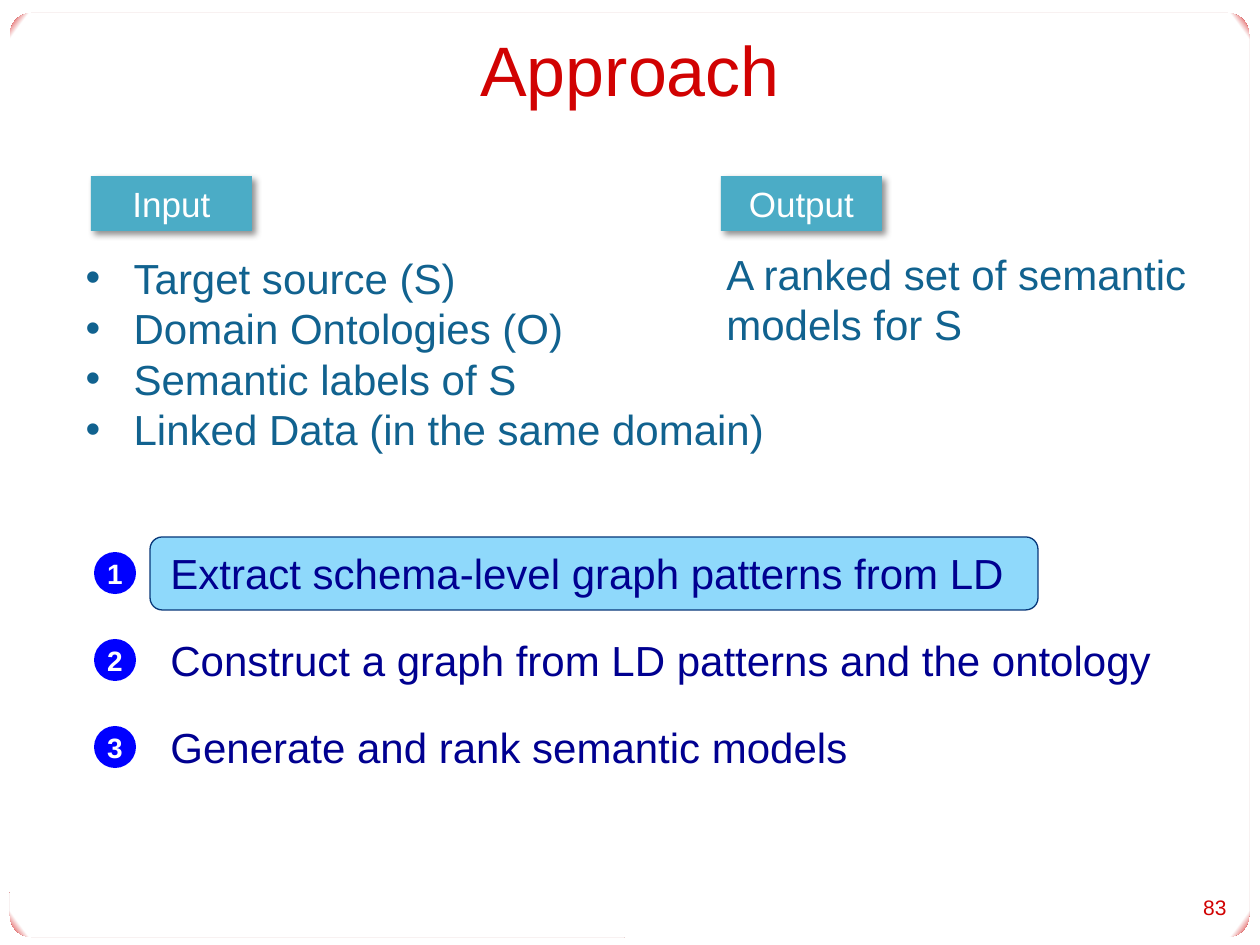
from lxml.etree import SubElement
from pptx import Presentation
from pptx.dml.color import RGBColor
from pptx.enum.shapes import MSO_SHAPE as SHAPE
from pptx.enum.text import MSO_ANCHOR as ANCHOR, MSO_AUTO_SIZE as AUTO, PP_ALIGN as ALIGN
from pptx.oxml import parse_xml
from pptx.oxml.ns import nsdecls, qn
from pptx.util import Pt

# Content
TITLE = "Approach"
INPUTS = ["Target source (S)", "Domain Ontologies (O)", "Semantic labels of S",
          "Linked Data (in the same domain)"]
OUTPUT = "A ranked set of semantic models for S"
STEPS = ["Extract schema-level graph patterns from LD",
         "Construct a graph from LD patterns and the ontology",
         "Generate and rank semantic models"]
LABELS = [("Input", 91), ("Output", 721)]
PAGE = "83"

RED, TEAL, NAVY, BLUE, AQUA, WHITE = "D10202", "11628F", "000090", "0000FF", "4BACC6", "FFFFFF"
STEP_TOP, STEP_GAP, DOT = 552, 87, 42


def px(n):
    return round(n * 914400 / 126)


def rgb(value):
    return RGBColor.from_string(value)


def place(s, *box):
    s.left, s.top, s.width, s.height = map(px, box)


def write(s, lines, size, color, align=ALIGN.LEFT, anchor=ANCHOR.TOP, bold=False):
    tf = s.text_frame
    tf.word_wrap, tf.auto_size, tf.vertical_anchor = True, AUTO.NONE, anchor
    for i, line in enumerate(lines):
        p = tf.add_paragraph() if i else tf.paragraphs[0]
        p.alignment, p.space_before = align, Pt(0)
        r = p.add_run()
        r.text = line
        r.font.name, r.font.size, r.font.bold = "Arial", Pt(size), bold
        r.font.color.rgb = rgb(color)
    return tf


def add_text(box, line, size, color, **style):
    write(slide.shapes.add_textbox(*map(px, box)), [line], size, color, **style)


def add_shape(kind, box, fill=None, line=None):
    s = slide.shapes.add_shape(kind, *map(px, box))
    s.shadow.inherit = False
    if fill:
        s.fill.solid()
        s.fill.fore_color.rgb = rgb(fill)
    if line:
        s.line.color.rgb, s.line.width = rgb(line), Pt(0.75)
    else:
        s.line.fill.background()
    return s


def add_bullet(p, color):
    pPr = p._p.get_or_add_pPr()
    pPr.set("marL", str(px(48)))
    pPr.set("indent", str(-px(48)))
    SubElement(SubElement(pPr, qn("a:buClr")), qn("a:srgbClr"), val=color)
    SubElement(pPr, qn("a:buFont"), typeface="Arial")
    SubElement(pPr, qn("a:buChar"), char="•")


def add_shadow(s):
    s._element.spPr.find(qn("a:effectLst")).append(parse_xml(
        f'<a:outerShdw {nsdecls("a")} blurRad="{Pt(4)}" dist="{Pt(3)}" dir="2700000" '
        'algn="tl" rotWithShape="0"><a:srgbClr val="000000"><a:alpha val="43000"/>'
        '</a:srgbClr></a:outerShdw>'))


def fill_radial(s, stops):
    gs = "".join(f'<a:gs pos="{pos * 1000}"><a:srgbClr val="{color}"/></a:gs>'
                 for pos, color in stops)
    s._element.spPr.find(qn("a:prstGeom")).addnext(parse_xml(
        f'<a:gradFill {nsdecls("a")} rotWithShape="1"><a:gsLst>{gs}</a:gsLst>'
        '<a:path path="circle"><a:fillToRect l="50000" t="50000" r="50000" b="50000"/>'
        '</a:path></a:gradFill>'))


prs = Presentation()
prs.slide_width, prs.slide_height = px(1260), px(945)
slide = prs.slides.add_slide(prs.slide_layouts[1])
title, body = slide.placeholders

# Rounded panel and highlight of the current step, behind all text
panel = add_shape(SHAPE.ROUNDED_RECTANGLE, (10, 13, 1239, 924))
panel.adjustments[0] = 0.023
fill_radial(panel, [(0, WHITE), (98, WHITE), (100, RED)])
highlight = add_shape(SHAPE.ROUNDED_RECTANGLE, (150, 537, 888, 73), "8FD9FB", "073779")
for i, s in enumerate([panel, highlight]):
    slide.shapes._spTree.insert(2 + i, s._element)

# Title and page number
place(title, 42, 21, 1176, 95)
write(title, [TITLE], 40, RED, ALIGN.CENTER, ANCHOR.MIDDLE)
add_text((1166, 887, 73, 40), PAGE, 12, RED, align=ALIGN.RIGHT, anchor=ANCHOR.MIDDLE)

# Input list and output text
place(body, 73, 246, 1029, 217)
for p in write(body, INPUTS, 24, TEAL).paragraphs:
    add_bullet(p, TEAL)
add_text((714, 242, 536, 115), OUTPUT, 24, TEAL)

# Labels above both columns
for text, left in LABELS:
    s = add_shape(SHAPE.RECTANGLE, (left, 176, 161, 55), AQUA)
    add_shadow(s)
    write(s, [text], 20, WHITE, ALIGN.CENTER)

# Numbered steps
for i, step in enumerate(STEPS):
    top = STEP_TOP + i * STEP_GAP
    add_text((158, top - 11, 1092, 63), step, 24, NAVY)
    s = add_shape(SHAPE.OVAL, (94, top, DOT, DOT), BLUE)
    tf = write(s, [str(i + 1)], 16, WHITE, ALIGN.CENTER, ANCHOR.MIDDLE, bold=True)
    tf.margin_left = tf.margin_right = tf.margin_top = tf.margin_bottom = 0

prs.save("out.pptx")
